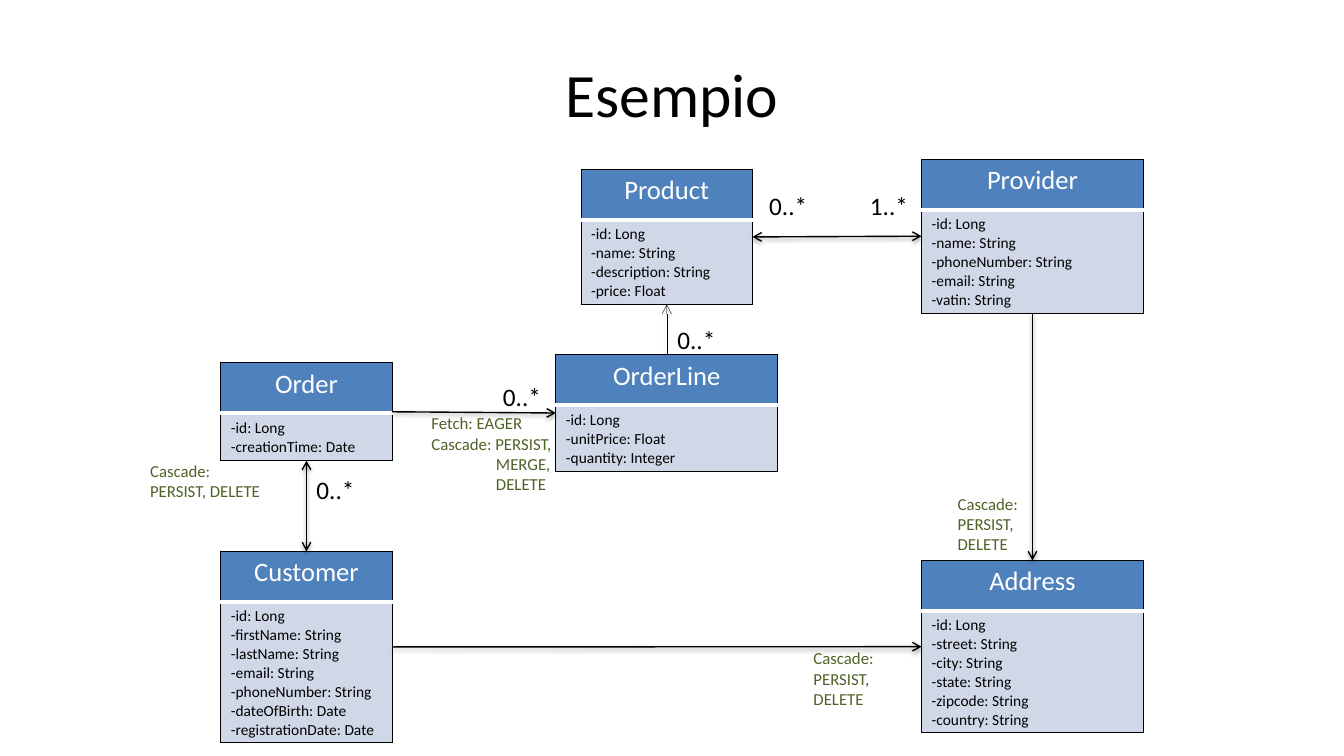
from lxml import etree
from pptx import Presentation
from pptx import util as u
from pptx.dml.color import RGBColor
from pptx.enum import shapes, text
from pptx.oxml import ns

BLACK = RGBColor(0x00, 0x00, 0x00)
WHITE = RGBColor(0xFF, 0xFF, 0xFF)
HEADER_BLUE = RGBColor(0x4F, 0x81, 0xBD)
BODY_BLUE = RGBColor(0xD0, 0xD8, 0xE8)
NOTE_GREEN = RGBColor(0x4F, 0x62, 0x28)
FONT = "Calibri"

SLIDE_W, SLIDE_H = u.Inches(13.33), u.Inches(7.5)
NARROW, WIDE = 12.75, 16.5
LEFT, CENTRE, RIGHT = 16.43, 49.61, 68.57
HEADER_H, LINE_H, PADDING_H = 6.67, 2.47, 1.33
TOP_SIDE, LEFT_SIDE, BOTTOM_SIDE, RIGHT_SIDE = range(4)

ENTITIES = {
    "Product": (CENTRE - NARROW / 2, 22.4, NARROW,
                ["id: Long", "name: String", "description: String", "price: Float"]),
    "Provider": (RIGHT, 21.07, WIDE,
                 ["id: Long", "name: String", "phoneNumber: String", "email: String",
                  "vatin: String"]),
    "Order": (LEFT, 48, NARROW, ["id: Long", "creationTime: Date"]),
    "OrderLine": (CENTRE - WIDE / 2, 46.93, WIDE,
                  ["id: Long", "unitPrice: Float", "quantity: Integer"]),
    "Customer": (LEFT, 72.93, NARROW,
                 ["id: Long", "firstName: String", "lastName: String", "email: String",
                  "phoneNumber: String", "dateOfBirth: Date", "registrationDate: Date"]),
    "Address": (RIGHT, 74.13, WIDE,
                ["id: Long", "street: String", "city: String", "state: String",
                 "zipcode: String", "country: String"]),
}
RELATIONS = [
    ("Product", RIGHT_SIDE, "Provider", LEFT_SIDE, 1, True),
    ("Order", RIGHT_SIDE, "OrderLine", LEFT_SIDE, 1, False),
    ("OrderLine", TOP_SIDE, "Product", BOTTOM_SIDE, 0.25, False),
    ("Customer", RIGHT_SIDE, "Address", LEFT_SIDE, 1, False),
    ("Customer", TOP_SIDE, "Order", BOTTOM_SIDE, 1, True),
    ("Provider", BOTTOM_SIDE, "Address", TOP_SIDE, 1, False),
]
MULTIPLICITIES = [
    ("1..*", 63.99, 24.53),
    ("0..*", 56.49, 24.53),
    ("0..*", 36.68, 49.73),
    ("0..*", 22.8, 62.13),
    ("0..*", 49.66, 42.27),
]
CASCADE = ["Cascade:", "PERSIST, DELETE"]
CASCADE_NOTES = [
    (59.79, 85.07, 9.6, 6.67),
    (10.43, 60.27, 16.5, 6.67),
    (70.52, 64.67, 8.7, 9.47),
]


def across(share):
    """Turn a percentage of the slide width into a length."""
    return u.Emu(round(SLIDE_W * share / 100))


def down(share):
    """Turn a percentage of the slide height into a length."""
    return u.Emu(round(SLIDE_H * share / 100))


def write_lines(frame, lines, size, color, align=text.PP_ALIGN.LEFT):
    """Fill a text frame with one paragraph per line."""
    frame.text = "\n".join(lines)
    for paragraph in frame.paragraphs:
        paragraph.alignment = align
        font = paragraph.font
        font.name, font.size, font.bold = FONT, u.Pt(size), False
        font.color.rgb = color


def add_label(slide, box, lines, size, color, wrap=True):
    """Place a left-aligned label that grows with its text."""
    left, top, width, height = box
    label = slide.shapes.add_textbox(across(left), down(top), across(width), down(height))
    frame = label.text_frame
    write_lines(frame, lines, size, color)
    frame.word_wrap = wrap
    frame.auto_size = text.MSO_AUTO_SIZE.SHAPE_TO_FIT_TEXT
    return frame


def add_title(slide, box):
    """Place the slide heading in the middle of its box."""
    left, top, width, height = box
    title = slide.shapes.add_textbox(across(left), down(top), across(width), down(height))
    frame = title.text_frame
    frame.word_wrap = True
    frame.vertical_anchor = text.MSO_ANCHOR.MIDDLE
    write_lines(frame, ["Esempio"], 44, BLACK, text.PP_ALIGN.CENTER)


def style_cell(cell, fill, top, bottom):
    """Draw the cell borders, black at the sides, and set the fill."""
    properties = cell._tc.get_or_add_tcPr()
    sides = {"lnL": (BLACK, 1), "lnR": (BLACK, 1), "lnT": top, "lnB": bottom}
    for side, (color, points) in sides.items():
        border = etree.SubElement(properties, ns.qn("a:" + side), w=str(u.Pt(points)))
        solid = etree.SubElement(border, ns.qn("a:solidFill"))
        etree.SubElement(solid, ns.qn("a:srgbClr"), val=str(color))
    cell.fill.solid()
    cell.fill.fore_color.rgb = fill


def add_entity(slide, name, left, top, width, attributes):
    """Draw a class as a two-row table with its name and attributes."""
    body_h = PADDING_H + LINE_H * len(attributes)
    entity = slide.shapes.add_table(2, 1, across(left), down(top), across(width),
                                    down(HEADER_H + body_h))
    table = entity.table
    table.first_row = table.horz_banding = False
    table.rows[0].height, table.rows[1].height = down(HEADER_H), down(body_h)
    header, body = table.cell(0, 0), table.cell(1, 0)
    style_cell(header, HEADER_BLUE, (BLACK, 1), (WHITE, 3))
    style_cell(body, BODY_BLUE, (WHITE, 1), (BLACK, 1))
    write_lines(header.text_frame, [name], 19, WHITE, text.PP_ALIGN.CENTER)
    write_lines(body.text_frame, ["-" + attribute for attribute in attributes], 11, BLACK)
    return entity


def add_relation(slide, source, source_side, target, target_side, weight, both_ways):
    """Join two classes with a shadowed arrow."""
    relation = slide.shapes.add_connector(shapes.MSO_CONNECTOR.STRAIGHT, 0, 0, 0, 0)
    relation.begin_connect(source, source_side)
    relation.end_connect(target, target_side)
    relation.line.color.rgb = BLACK
    relation.line.width = u.Pt(weight)
    line = relation.line._get_or_add_ln()
    for end in ("headEnd", "tailEnd") if both_ways else ("tailEnd",):
        etree.SubElement(line, ns.qn("a:" + end), type="arrow")
    effects = etree.SubElement(relation._element.spPr, ns.qn("a:effectLst"))
    shadow = etree.SubElement(effects, ns.qn("a:outerShdw"), blurRad=str(u.Pt(3.1)),
                              dist=str(u.Pt(1.6)), dir="5400000", rotWithShape="0")
    tint = etree.SubElement(shadow, ns.qn("a:srgbClr"), val=str(BLACK))
    etree.SubElement(tint, ns.qn("a:alpha"), val="38000")


def add_fetch_note(slide, box):
    """Place the fetch and cascade note with its indented continuation."""
    lines = ["Fetch: EAGER", "Cascade: PERSIST,", "MERGE,", "DELETE"]
    frame = add_label(slide, box, lines, 12, NOTE_GREEN, wrap=False)
    for paragraph in frame.paragraphs[2:]:
        paragraph._p.get_or_add_pPr().set("marL", str(u.Inches(0.64)))


def build_class_diagram(slide):
    """Draw the classes, their relations and all labels."""
    add_title(slide, (5, 4, 90, 16.67))
    entities = {name: add_entity(slide, name, *parts) for name, parts in ENTITIES.items()}
    for source, source_side, target, target_side, weight, both_ways in RELATIONS:
        add_relation(slide, entities[source], source_side, entities[target], target_side,
                     weight, both_ways)
    for multiplicity, left, top in MULTIPLICITIES:
        add_label(slide, (left, top, 4.35, 5.33), [multiplicity], 18, BLACK, wrap=False)
    add_fetch_note(slide, (31.36, 54, 10.95, 12.13))
    for box in CASCADE_NOTES:
        add_label(slide, box, CASCADE, 12, NOTE_GREEN)


def main():
    """Build the one-slide deck and save it."""
    deck = Presentation()
    deck.slide_width, deck.slide_height = SLIDE_W, SLIDE_H
    build_class_diagram(deck.slides.add_slide(deck.slide_layouts[6]))
    deck.save("out.pptx")


if __name__ == "__main__":
    main()
